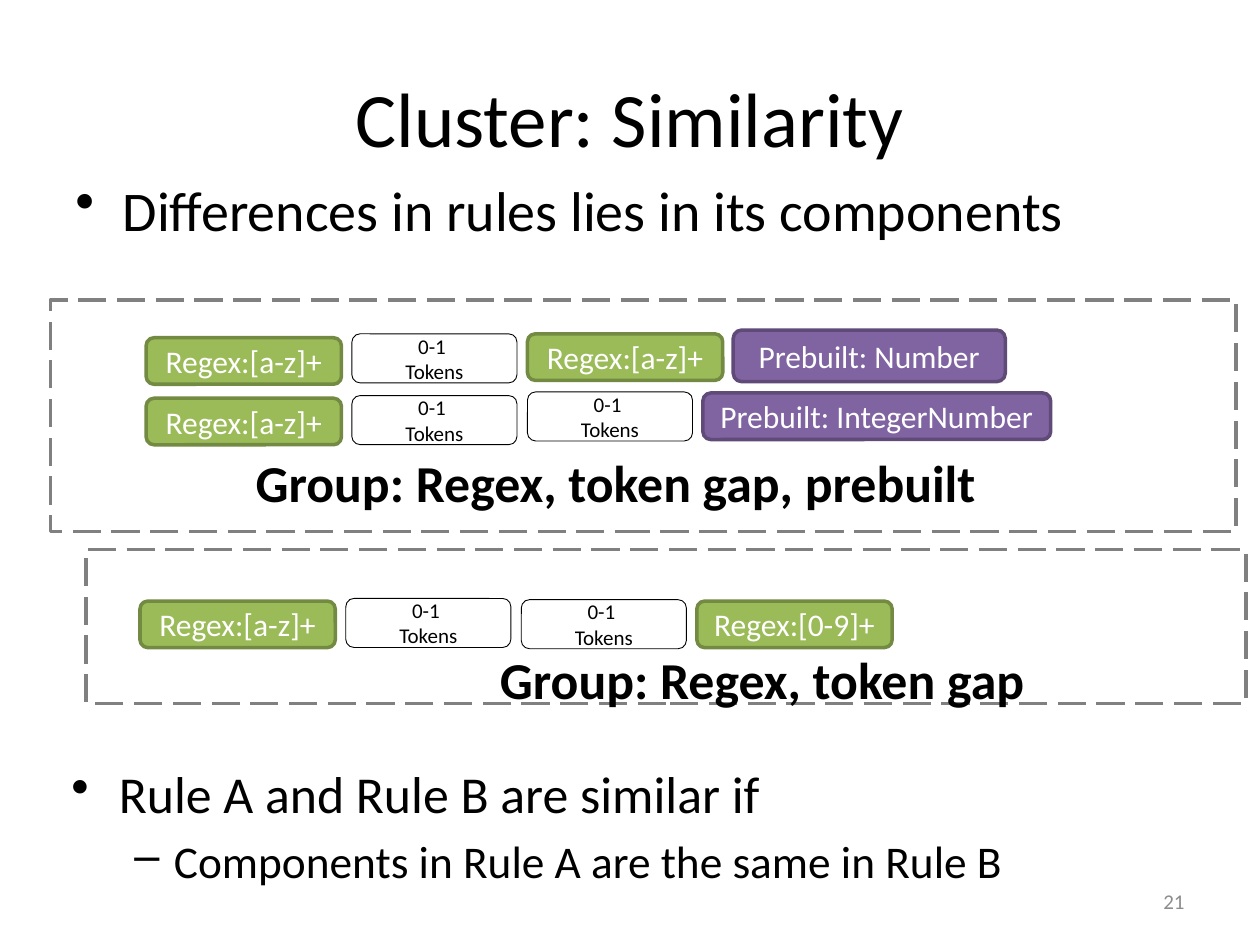
from lxml import etree
from pptx import Presentation
from pptx.dml.color import RGBColor
from pptx.enum.dml import MSO_LINE
from pptx.enum.shapes import MSO_SHAPE
from pptx.enum.text import MSO_ANCHOR, PP_ALIGN
from pptx.oxml.ns import qn
from pptx.util import Pt

RECTANGLE = MSO_SHAPE.RECTANGLE
CHIP = MSO_SHAPE.FLOWCHART_ALTERNATE_PROCESS
LONG_DASH = MSO_LINE.LONG_DASH
TOP, MIDDLE = MSO_ANCHOR.TOP, MSO_ANCHOR.MIDDLE
LEFT, CENTER, RIGHT = PP_ALIGN.LEFT, PP_ALIGN.CENTER, PP_ALIGN.RIGHT

COLORS = {
    "text": "000000",
    "white": "FFFFFF",
    "green": "9BBB59",
    "green_edge": "738A42",
    "purple": "8064A2",
    "purple_edge": "5F4A78",
    "frame": "808080",
    "number": "8C8C8C",
}
FONT = "Calibri"
CHIP_GAP = 6
CHIP_STYLES = {
    "regex": {"fill": "green", "edge": "green_edge", "weight": 2, "color": "white", "size": 18},
    "prebuilt": {"fill": "purple", "edge": "purple_edge", "weight": 2, "color": "white", "size": 18},
    "gap": {"fill": "white", "edge": "text", "weight": 0.5, "color": "text", "size": 12},
}
LETTERS = ("regex", ["Regex:[a-z]+"], 111.6, 26.6)
DIGITS = ("regex", ["Regex:[0-9]+"], 111.6, 26.6)
TOKENS = ("gap", ["0-1 ", "Tokens"], 94.3, 28)
NUMBER = ("prebuilt", ["Prebuilt: Number"], 155.5, 29.5)
INTEGER = ("prebuilt", ["Prebuilt: IntegerNumber"], 198.7, 26.6)


def rgb(name):
    return RGBColor.from_string(COLORS[name])


def add_bullet(paragraph, character, margin, hanging):
    properties = paragraph._p.get_or_add_pPr()
    properties.set("marL", str(Pt(margin)))
    properties.set("indent", str(-Pt(hanging)))
    bullet = etree.SubElement(properties, qn("a:buChar"))
    bullet.set("char", character)


def format_paragraph(paragraph, text, size, color="text", bold=False, align=LEFT):
    paragraph.text = text
    paragraph.alignment = align
    for name, value in {"name": FONT, "size": Pt(size), "bold": bold}.items():
        setattr(paragraph.font, name, value)
    paragraph.font.color.rgb = rgb(color)


def add_text(slide, box, lines, anchor=TOP):
    frame = slide.shapes.add_textbox(*map(Pt, box)).text_frame
    frame.word_wrap = True
    frame.vertical_anchor = anchor
    for index, line in enumerate(lines):
        paragraph = frame.add_paragraph() if index else frame.paragraphs[0]
        if "bullet" in line:
            add_bullet(paragraph, *line["bullet"])
        if index:
            paragraph.space_before = Pt(line["format"]["size"] * 0.2)
        format_paragraph(paragraph, line["text"], **line["format"])


def add_chip(slide, left, top, kind, lines, width, height):
    style = CHIP_STYLES[kind]
    shape = slide.shapes.add_shape(CHIP, Pt(left), Pt(top), Pt(width), Pt(height))
    shape.shadow.inherit = False
    shape.fill.solid()
    shape.fill.fore_color.rgb = rgb(style["fill"])
    shape.line.color.rgb = rgb(style["edge"])
    shape.line.width = Pt(style["weight"])
    frame = shape.text_frame
    settings = {"word_wrap": True, "vertical_anchor": MIDDLE, "margin_left": 0, "margin_right": 0}
    for name, value in settings.items():
        setattr(frame, name, value)
    for index, line in enumerate(lines):
        paragraph = frame.add_paragraph() if index else frame.paragraphs[0]
        format_paragraph(paragraph, line, style["size"], style["color"], align=CENTER)


def add_group(slide, box, chip_left, rows, label, label_box):
    left, top, width, height = box
    frame = slide.shapes.add_shape(RECTANGLE, *map(Pt, box))
    frame.shadow.inherit = False
    frame.fill.background()
    frame.line.color.rgb = rgb("frame")
    frame.line.width = Pt(2)
    frame.line.dash_style = LONG_DASH
    for row in rows:
        x = left + chip_left
        for offset, chip in row:
            add_chip(slide, x, top + offset, *chip)
            x += chip[2] + CHIP_GAP
    label_left, label_top, label_width, label_height = label_box
    add_text(slide, (left + label_left, top + label_top, label_width, label_height),
             [{"text": label, "format": {"size": 29.6, "bold": True}}])


def main():
    presentation = Presentation()
    presentation.slide_width, presentation.slide_height = Pt(720), Pt(540)
    slide = presentation.slides.add_slide(presentation.slide_layouts[6])

    add_text(slide, (36, 21.6, 648, 90),
             [{"text": "Cluster: Similarity", "format": {"size": 44, "align": CENTER}}], MIDDLE)
    add_text(slide, (36, 96.5, 648, 56), [
        {"text": "Differences in rules lies in its components",
         "bullet": ("•", 27, 27), "format": {"size": 32}},
    ])
    add_group(slide, (28.8, 171.4, 677.5, 132.5), 54.7, [
        [(21.6, LETTERS), (19.4, TOKENS), (19.4, LETTERS), (17.2, NUMBER)],
        [(56.2, LETTERS), (54.7, TOKENS), (52.6, TOKENS), (53.2, INTEGER)],
    ], "Group: Regex, token gap, prebuilt", (110.2, 82.8, 460.8, 40.3))
    add_group(slide, (49, 314, 663, 88), 31, [
        [(29.5, LETTERS), (28, TOKENS), (28.7, TOKENS), (29.5, DIGITS)],
    ], "Group: Regex, token gap", (229.6, 52.5, 322.6, 40.3))
    add_text(slide, (33.8, 432, 648, 75.6), [
        {"text": "Rule A and Rule B are similar if",
         "bullet": ("•", 27, 27), "format": {"size": 29.6}},
        {"text": "Components in Rule A are the same in Rule B",
         "bullet": ("–", 58.5, 22.5), "format": {"size": 25.9}},
    ])
    add_text(slide, (516, 500.5, 168, 28.8),
             [{"text": "21", "format": {"size": 12, "color": "number", "align": RIGHT}}], MIDDLE)

    presentation.save("out.pptx")


if __name__ == "__main__":
    main()
